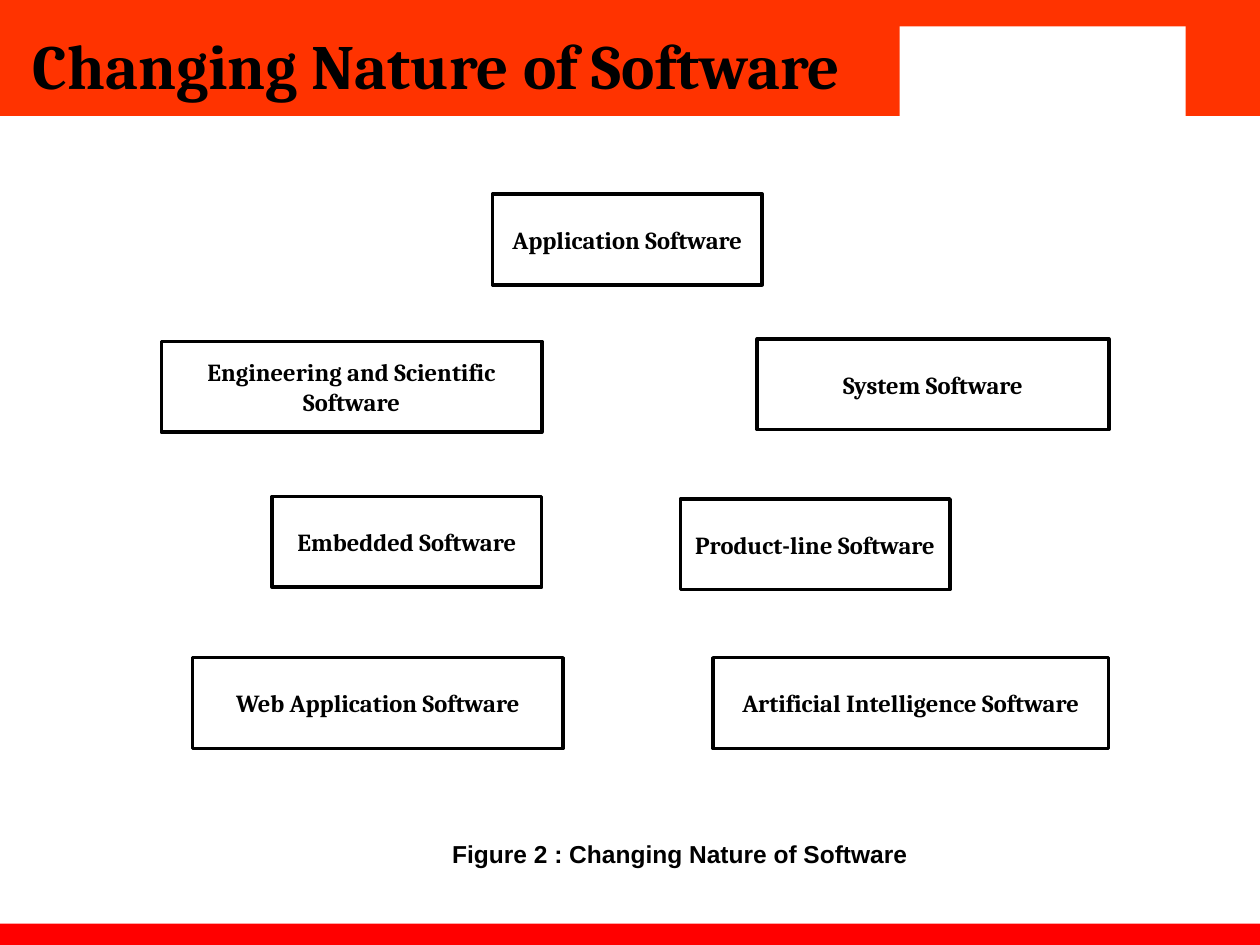
from dataclasses import dataclass

from pptx import Presentation
from pptx import util as u
from pptx.dml.color import RGBColor
from pptx.enum import shapes, text


@dataclass(frozen=True)
class Theme:
    header: RGBColor = RGBColor(0xFF, 0x33, 0x00)
    footer: RGBColor = RGBColor(0xFF, 0x00, 0x00)
    paper: RGBColor = RGBColor(0xFF, 0xFF, 0xFF)
    ink: RGBColor = RGBColor(0x00, 0x00, 0x00)
    heading_font: str = "Cambria"
    caption_font: str = "Arial"
    title_size: int = 36
    body_size: int = 14
    border: int = 2


THEME = Theme()
BOX_HEIGHT = 0.72
CATEGORIES = [
    ("Application Software", 3.91, 1.54, 2.14),
    ("Engineering and Scientific Software", 1.28, 2.71, 3.02),
    ("System Software", 6.01, 2.69, 2.79),
    ("Embedded Software", 2.16, 3.94, 2.14),
    ("Product-line Software", 5.4, 3.96, 2.14),
    ("Web Application Software", 1.53, 5.22, 2.94),
    ("Artificial Intelligence Software", 5.66, 5.22, 3.14),
]


def write(tf, words, size, font, align):
    p = tf.paragraphs[0]
    p.alignment = align
    r = p.add_run()
    r.text = words
    r.font.size = u.Pt(size)
    r.font.name = font
    r.font.bold = True
    r.font.color.rgb = THEME.ink


def add_band(s, left, top, width, height, color):
    sp = s.shapes.add_shape(
        shapes.MSO_SHAPE.RECTANGLE,
        u.Inches(left), u.Inches(top), u.Inches(width), u.Inches(height),
    )
    sp.shadow.inherit = False
    sp.fill.solid()
    sp.fill.fore_color.rgb = color
    sp.line.fill.background()
    return sp


def add_category(s, words, left, top, width):
    sp = add_band(s, left, top, width, BOX_HEIGHT, THEME.paper)
    sp.line.color.rgb = THEME.ink
    sp.line.width = u.Pt(THEME.border)
    tf = sp.text_frame
    tf.word_wrap = True
    tf.vertical_anchor = text.MSO_ANCHOR.MIDDLE
    write(tf, words, THEME.body_size, THEME.heading_font, text.PP_ALIGN.CENTER)


def set_title(s, words):
    title = s.shapes.title
    title.left, title.top = u.Inches(0.16), u.Inches(0.16)
    title.width, title.height = u.Inches(7.16), u.Inches(0.71)
    tf = title.text_frame
    tf.word_wrap = True
    tf.auto_size = text.MSO_AUTO_SIZE.NONE
    tf.vertical_anchor = text.MSO_ANCHOR.TOP
    write(tf, words, THEME.title_size, THEME.heading_font, text.PP_ALIGN.LEFT)
    s.shapes._spTree.append(title._element)


def add_caption(s, words):
    sp = s.shapes.add_textbox(
        u.Inches(3.49), u.Inches(6.61), u.Inches(3.83), u.Inches(0.34)
    )
    tf = sp.text_frame
    tf.word_wrap = False
    tf.auto_size = text.MSO_AUTO_SIZE.SHAPE_TO_FIT_TEXT
    write(tf, words, THEME.body_size, THEME.caption_font, text.PP_ALIGN.LEFT)


def main():
    prs = Presentation()
    prs.slide_width, prs.slide_height = u.Inches(10), u.Inches(7.5)
    s = prs.slides.add_slide(prs.slide_layouts[5])
    add_band(s, 0, 0, 10, 0.92, THEME.header)
    add_band(s, 0, 7.33, 10, 0.22, THEME.footer)
    add_band(s, 6.72, 0, 3.28, 0.92, THEME.header)
    add_band(s, 7.14, 0.21, 2.27, 0.75, THEME.paper)
    for category in CATEGORIES:
        add_category(s, *category)
    set_title(s, "Changing Nature of Software")
    add_caption(s, "Figure 2 : Changing Nature of Software")
    prs.save("out.pptx")


if __name__ == "__main__":
    main()
